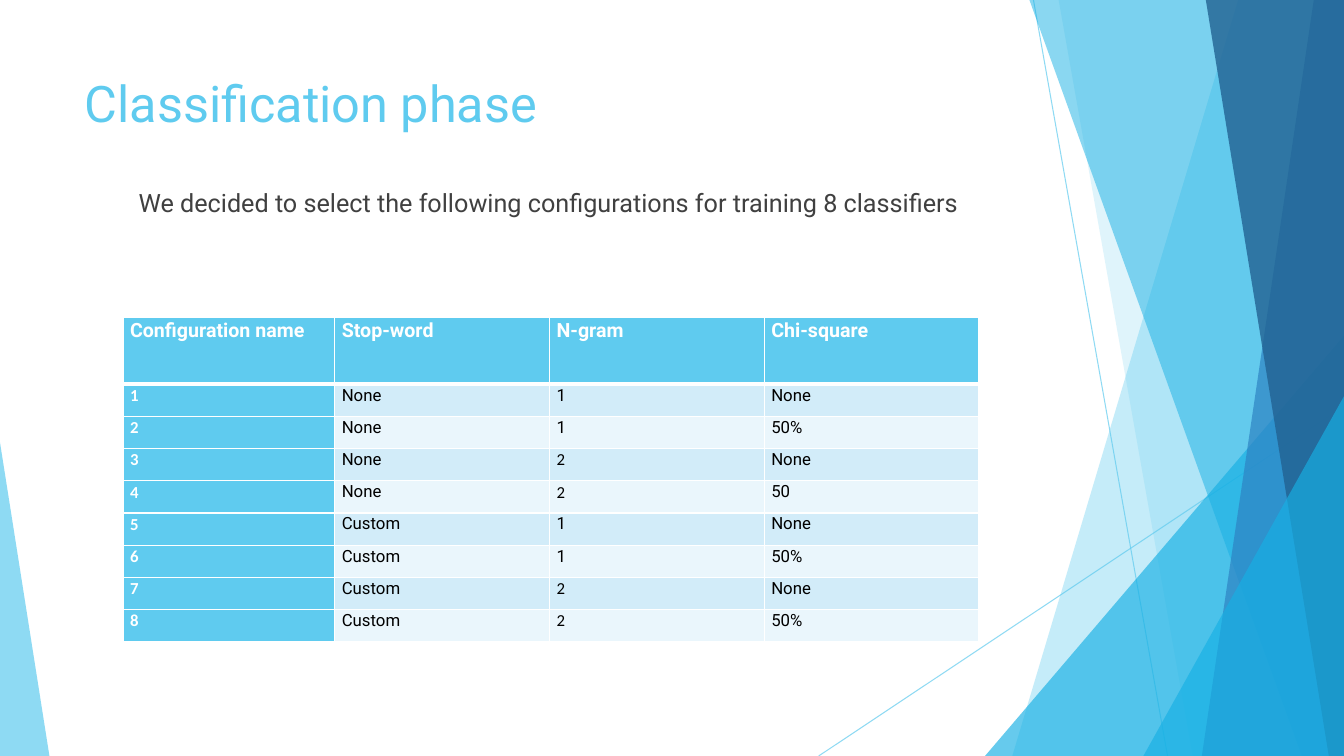
from dataclasses import dataclass
from typing import NamedTuple

from lxml.etree import SubElement
from pptx import Presentation
from pptx.dml.color import RGBColor
from pptx.enum.shapes import MSO_CONNECTOR, MSO_SHAPE
from pptx.enum.text import MSO_ANCHOR, MSO_AUTO_SIZE, PP_ALIGN
from pptx.oxml.ns import qn
from pptx.util import Inches, Pt


@dataclass(frozen=True)
class Theme:
    sky: str = "5FCBEF"
    cyan: str = "17B0E4"
    blue: str = "2E83C3"
    navy: str = "226292"
    white: str = "FFFFFF"
    black: str = "000000"
    body: str = "404040"
    bands: tuple[str, str] = ("D2ECF9", "EAF6FC")
    font: str = "Roboto"
    digit_font: str = "Calibri"
    title_size: int = 36
    body_size: int = 18
    head_size: int = 14
    cell_size: int = 12


class Ray(NamedTuple):
    x1: float
    y1: float
    x2: float
    y2: float


class Band(NamedTuple):
    top_x: float
    bottom_x: float
    color: str
    alpha: int


class Wedge(NamedTuple):
    left: float
    top: float
    width: float
    apex: float
    color: str
    alpha: int


T = Theme()
WIDTH, HEIGHT = 13.33, 7.5

RAYS = [Ray(10.25, 0, 11.58, HEIGHT), Ray(WIDTH, 4.03, 8.12, HEIGHT)]
FACETS = [
    Band(12.28, 10.04, T.sky, 36),
    Band(10.5, 11.83, T.sky, 20),
    Wedge(9.77, 3.33, 3.56, 1, T.cyan, 66),
    Band(10.21, 12.91, T.cyan, 50),
    Band(13.03, 11.92, T.blue, 70),
    Band(11.96, 13.18, T.navy, 80),
    Wedge(11.34, 3.93, 1.99, 1, T.cyan, 66),
    Wedge(0, 4.39, 0.49, 0, T.sky, 70),
]
HEADERS = ["Configuration name", "Stop-word", "N-gram", "Chi-square"]
CONFIGS = [
    ("None", "1", "None"),
    ("None", "1", "50%"),
    ("None", "2", "None"),
    ("None", "2", "50"),
    ("Custom", "1", "None"),
    ("Custom", "1", "50%"),
    ("Custom", "2", "None"),
    ("Custom", "2", "50%"),
]
COL_WIDTHS = [2.1, 2.13, 2.13, 2.13]
ROW_HEIGHTS = [0.66] + [0.32] * len(CONFIGS)


def write(tf, text: str, *, size: int, color: str, font: str = T.font,
          bold: bool = False, align=PP_ALIGN.LEFT, before: float = 0,
          after: float = 0, spacing: float = 1.0):
    p = tf.paragraphs[0]
    p.alignment = align
    p.space_before, p.space_after = Pt(before), Pt(after)
    p.line_spacing = spacing
    r = p.add_run()
    r.text = text
    r.font.name, r.font.size, r.font.bold = font, Pt(size), bold
    r.font.color.rgb = RGBColor.from_string(color)
    return p


def set_alpha(shape, percent: int) -> None:
    for color in shape.element.iter(qn("a:srgbClr")):
        SubElement(color, qn("a:alpha")).set("val", str(percent * 1000))


def draw_ray(slide, ray: Ray) -> None:
    line = slide.shapes.add_connector(MSO_CONNECTOR.STRAIGHT, *map(Inches, ray))
    line.line.color.rgb = RGBColor.from_string(T.sky)
    line.line.width = Pt(0.75)
    SubElement(line.element.spPr, qn("a:effectLst"))
    set_alpha(line, 70)


def draw_facet(slide, facet: Band | Wedge) -> None:
    if isinstance(facet, Band):
        builder = slide.shapes.build_freeform(Inches(facet.top_x), 0)
        corners = [(WIDTH, 0), (WIDTH, HEIGHT), (facet.bottom_x, HEIGHT)]
        builder.add_line_segments([(Inches(x), Inches(y)) for x, y in corners])
        sp = builder.convert_to_shape()
    else:
        sp = slide.shapes.add_shape(
            MSO_SHAPE.ISOSCELES_TRIANGLE, Inches(facet.left), Inches(facet.top),
            Inches(facet.width), Inches(HEIGHT - facet.top))
        sp.adjustments[0] = facet.apex
    sp.shadow.inherit = False
    sp.line.fill.background()
    sp.fill.solid()
    sp.fill.fore_color.rgb = RGBColor.from_string(facet.color)
    set_alpha(sp, facet.alpha)


def place(sp, left: float, top: float, width: float, height: float):
    sp.left, sp.top = Inches(left), Inches(top)
    sp.width, sp.height = Inches(width), Inches(height)
    sp.element.getparent().append(sp.element)
    tf = sp.text_frame
    tf.word_wrap, tf.auto_size = True, MSO_AUTO_SIZE.NONE
    tf.vertical_anchor = MSO_ANCHOR.TOP
    return tf


def set_border(cell, side: str, width: float) -> None:
    ln = SubElement(cell._tc.get_or_add_tcPr(), qn(f"a:ln{side}"))
    ln.set("w", str(Pt(width)))
    fill = SubElement(ln, qn("a:solidFill"))
    SubElement(fill, qn("a:srgbClr")).set("val", T.white)


def fill_cell(cell, text: str, row: int, col: int) -> None:
    for side in "LRTB":
        under_header = (row, side) in ((0, "B"), (1, "T"))
        set_border(cell, side, 3 if under_header else 1)
    strong = row == 0 or col == 0
    cell.fill.solid()
    cell.fill.fore_color.rgb = RGBColor.from_string(
        T.sky if strong else T.bands[(row - 1) % 2])
    cell.margin_left = cell.margin_right = Inches(0.07)
    cell.margin_top = cell.margin_bottom = 0
    calibri = row > 0 and (col == 0 or (col == 2 and text == "2"))
    write(cell.text_frame, text, bold=strong,
          size=T.cell_size if row else T.head_size,
          color=T.white if strong else T.black,
          font=T.digit_font if calibri else T.font, after=8, spacing=1.07)


def draw_table(slide) -> None:
    rows = [HEADERS] + [(str(n), *c) for n, c in enumerate(CONFIGS, 1)]
    table = slide.shapes.add_table(
        len(rows), len(HEADERS), Inches(1.22), Inches(3.15),
        Inches(sum(COL_WIDTHS)), Inches(sum(ROW_HEIGHTS))).table
    for column, width in zip(table.columns, COL_WIDTHS):
        column.width = Inches(width)
    for i, (values, height) in enumerate(zip(rows, ROW_HEIGHTS)):
        table.rows[i].height = Inches(height)
        for j, text in enumerate(values):
            fill_cell(table.cell(i, j), text, i, j)


def main() -> None:
    prs = Presentation()
    prs.slide_width, prs.slide_height = Inches(WIDTH), Inches(HEIGHT)
    slide = prs.slides.add_slide(prs.slide_layouts[1])
    title, body = slide.placeholders
    for ray in RAYS:
        draw_ray(slide, ray)
    for facet in FACETS:
        draw_facet(slide, facet)
    write(place(title, 0.74, 0.67, 9.4, 1.44), "Classification phase",
          size=T.title_size, color=T.sky)
    p = write(place(body, 0.74, 1.81, 9.4, 4.8),
              "We decided to select the following configurations for training 8 classifiers",
              size=T.body_size, color=T.body, align=PP_ALIGN.CENTER, before=10)
    pPr = p._p.get_or_add_pPr()
    pPr.set("marL", str(Inches(0.38)))
    pPr.set("indent", str(Inches(-0.38)))
    SubElement(pPr, qn("a:buNone"))
    draw_table(slide)
    prs.save("out.pptx")


if __name__ == "__main__":
    main()
